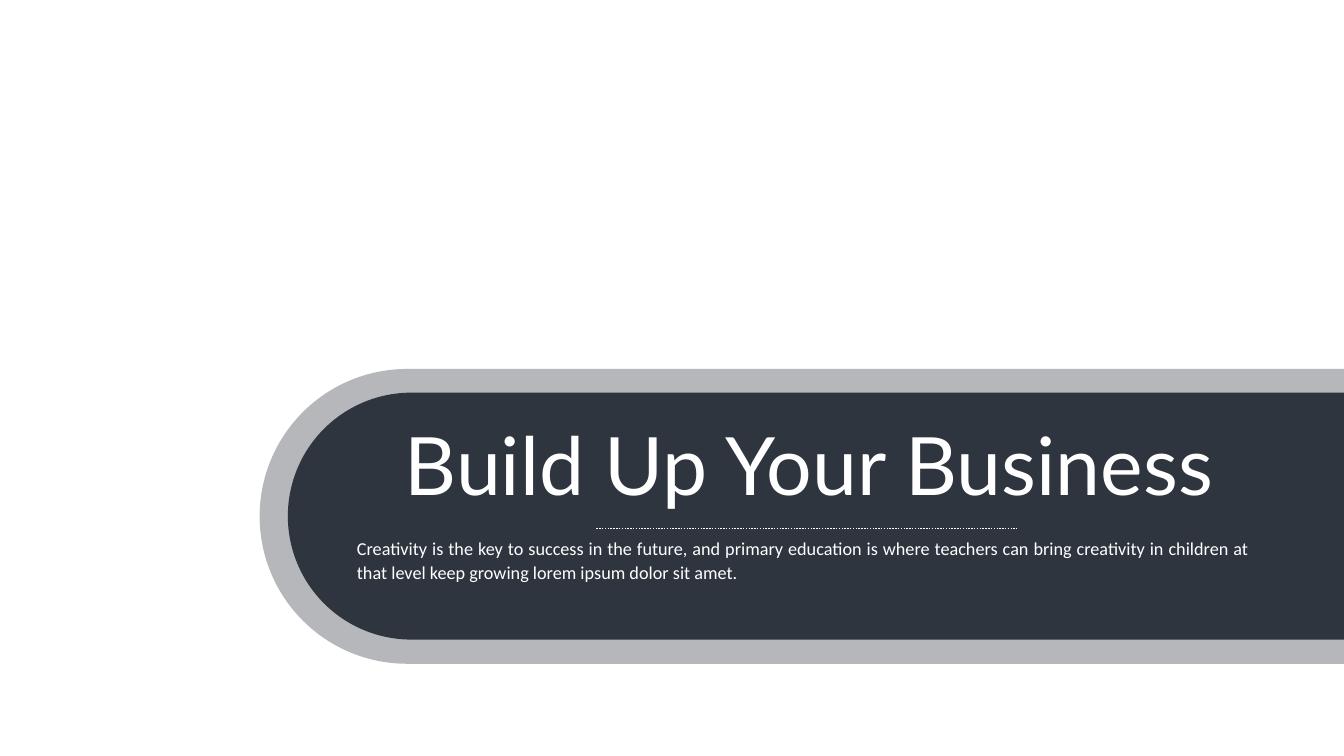
from lxml.etree import SubElement
from pptx import Presentation
from pptx.dml.color import RGBColor
from pptx.enum.dml import MSO_LINE
from pptx.enum.shapes import MSO_CONNECTOR, MSO_SHAPE
from pptx.enum.text import MSO_ANCHOR, MSO_AUTO_SIZE, PP_ALIGN
from pptx.oxml.ns import qn
from pptx.util import Emu, Pt

COLORS = {"navy": "202732", "white": "FFFFFF"}
EMU_PER_PX = 9144  # 100 px to the inch


def px(n):
    return Emu(n * EMU_PER_PX)


def rgb(name):
    return RGBColor.from_string(COLORS[name])


def add_band(slide, left, top, length, thickness, opacity):
    """Horizontal band with a round left end, as a tall shape turned by 270 degrees."""
    shift = (length - thickness) // 2
    sp = slide.shapes.add_shape(MSO_SHAPE.ROUND_2_SAME_RECTANGLE, px(left + shift),
                                px(top - shift), px(thickness), px(length))
    sp.rotation = 270
    sp.adjustments[0] = 0.5
    sp.adjustments[1] = 0
    sp.shadow.inherit = False
    sp.fill.solid()
    sp.fill.fore_color.rgb = rgb("navy")
    color = sp._element.spPr.find(qn("a:solidFill"))[0]
    SubElement(color, qn("a:alpha"), val=str(opacity * 1000))
    sp.line.fill.background()


def add_dotted_line(slide, x1, x2, y, width):
    line = slide.shapes.add_connector(MSO_CONNECTOR.STRAIGHT, px(x1), px(y), px(x2), px(y))
    line.line.color.rgb = rgb("white")
    line.line.width = Pt(width)
    line.line.dash_style = MSO_LINE.ROUND_DOT
    SubElement(line._element.spPr, qn("a:effectLst"))


def set_text(sp, text, *, font, size, align, anchor=MSO_ANCHOR.TOP, inset=(20, 10),
             spacing=1.0):
    tf = sp.text_frame
    tf.word_wrap = True
    tf.auto_size = MSO_AUTO_SIZE.NONE
    tf.vertical_anchor = anchor
    tf.margin_left = tf.margin_right = px(inset[0])
    tf.margin_top = tf.margin_bottom = px(inset[1])
    p = tf.paragraphs[0]
    p.alignment = align
    p.line_spacing = spacing
    p.space_before = Pt(0)
    r = p.add_run()
    r.text = text
    r.font.name = font
    r.font.size = Pt(size)
    r.font.color.rgb = rgb("white")


def add_title(slide, text, left, top, width, height):
    sp = slide.shapes.title
    sp.left, sp.top, sp.width, sp.height = px(left), px(top), px(width), px(height)
    set_text(sp, text, font="Lato", size=115, align=PP_ALIGN.CENTER,
             anchor=MSO_ANCHOR.MIDDLE, inset=(6, 6))
    # Bring the title in front of the bands
    slide.shapes._spTree.append(sp._element)


def add_body(slide, text, left, top, width, height):
    sp = slide.shapes.add_textbox(px(left), px(top), px(width), px(height))
    set_text(sp, text, font="Calibri", size=26, align=PP_ALIGN.JUSTIFY, spacing=1.1)


def main():
    prs = Presentation()
    prs.slide_width, prs.slide_height = px(2666), px(1500)
    slide = prs.slides.add_slide(prs.slide_layouts[5])
    slide.background.fill.solid()
    slide.background.fill.fore_color.rgb = rgb("white")

    # Pale outer band and dark inner band
    add_band(slide, 515, 732, 2175, 585, opacity=33)
    add_band(slide, 571, 779, 2096, 490, opacity=90)

    # Title, divider and description
    add_title(slide, "Build Up Your Business", 506, 813, 2197, 211)
    add_dotted_line(slide, 1183, 2018, 1049, width=2)
    add_body(slide, "Creativity is the key to success in the future, and primary education "
                    "is where teachers can bring creativity in children at that level keep "
                    "growing lorem ipsum dolor sit amet.", 688, 1052, 1811, 116)

    prs.save("out.pptx")


if __name__ == "__main__":
    main()
